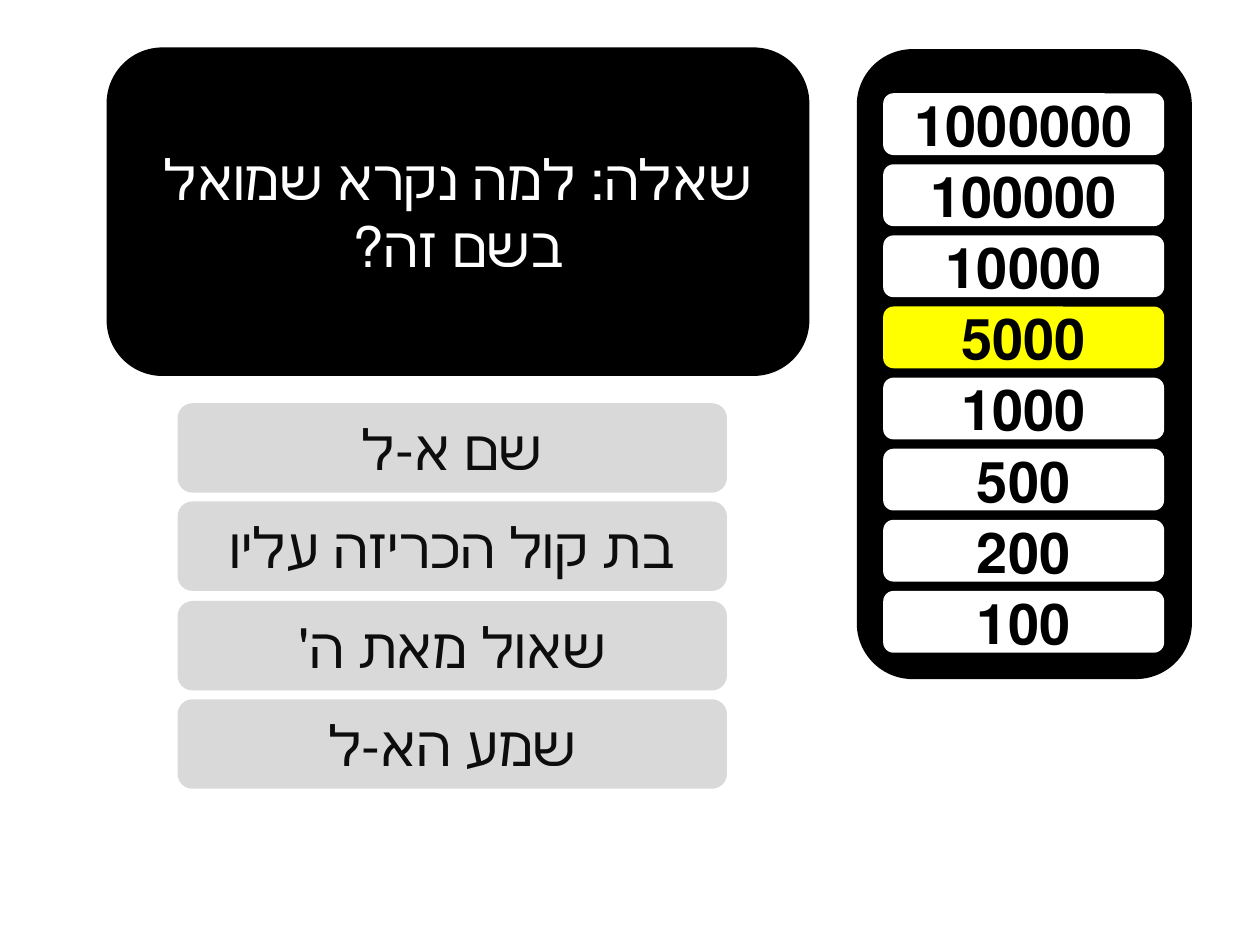
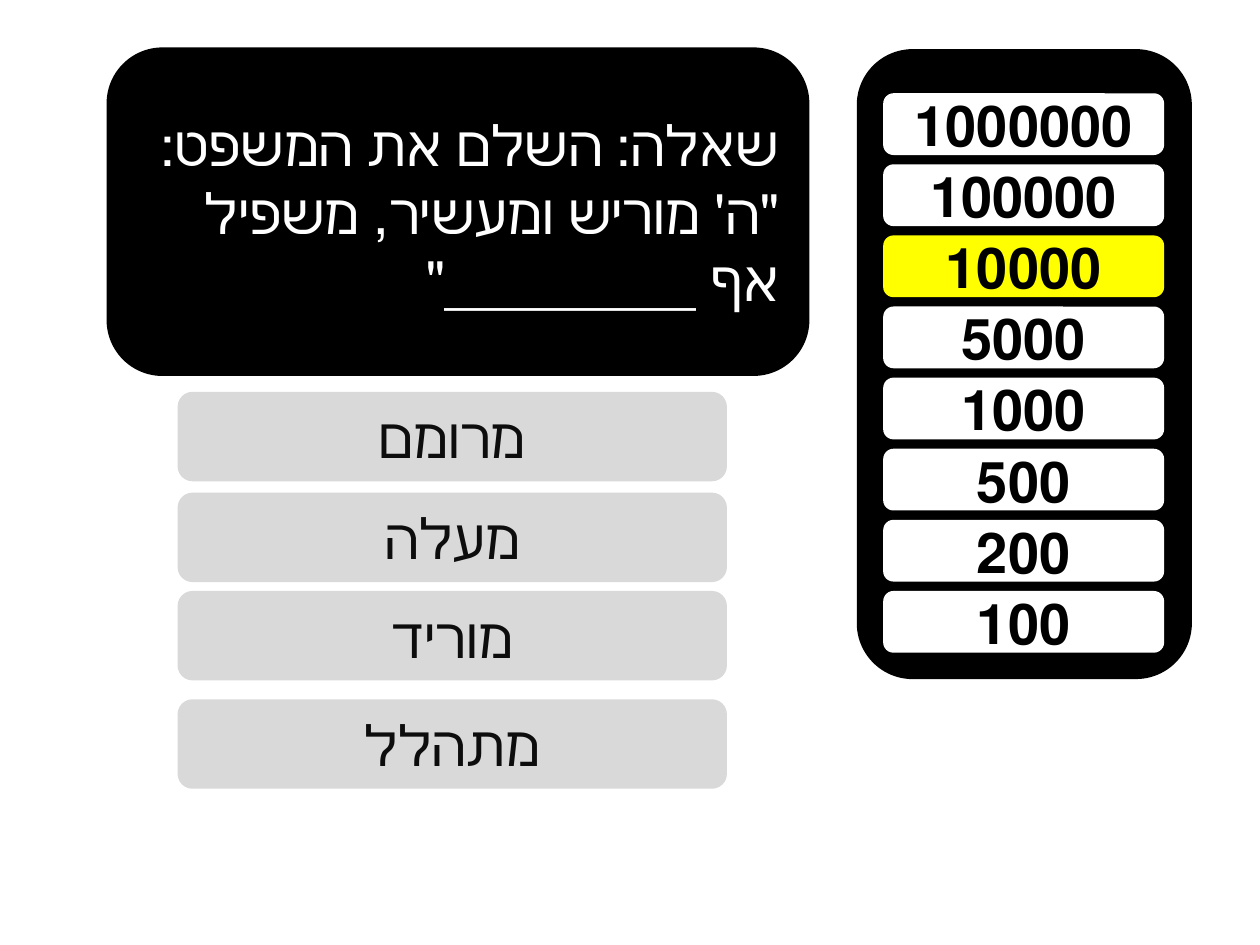
from pptx import Presentation
from pptx.dml.color import RGBColor
from pptx.enum.shapes import MSO_SHAPE
from pptx.enum.text import MSO_ANCHOR, PP_ALIGN
from pptx.util import Inches, Pt

ROUNDED = MSO_SHAPE.ROUNDED_RECTANGLE
MIDDLE = MSO_ANCHOR.MIDDLE
CENTER, RIGHT = PP_ALIGN.CENTER, PP_ALIGN.RIGHT

BLACK = RGBColor(0x00, 0x00, 0x00)
WHITE = RGBColor(0xFF, 0xFF, 0xFF)
YELLOW = RGBColor(0xFF, 0xFF, 0x00)
GREY = RGBColor(0xD9, 0xD9, 0xD9)
INK = RGBColor(0x0D, 0x0D, 0x0D)

PRIZES = ["1000000", "100000", "10000", "5000", "1000", "500", "200", "100"]
PRIZE_TOP, PRIZE_LAST_TOP = 0.74, 4.69
PRIZE_STEP = (PRIZE_LAST_TOP - PRIZE_TOP) / (len(PRIZES) - 1)

# Each question: wording, alignment, prize played for, answers with their tops
QUESTIONS = [
    {
        "question": "שאלה: למה נקרא שמואל בשם זה?",
        "align": CENTER,
        "prize": "5000",
        "answers": [("שם א-ל", 3.2), ("בת קול הכריזה עליו", 3.98),
                    ("שאול מאת ה'", 4.77), ("שמע הא-ל", 5.55)],
    },
    {
        "question": "שאלה: השלם את המשפט: \"ה' מוריש ומעשיר, משפיל אף _________\"",
        "align": RIGHT,
        "prize": "10000",
        "answers": [("מרומם", 3.11), ("מעלה", 3.91),
                    ("מוריד", 4.69), ("מתהלל", 5.55)],
    },
]


class QuizDeck:
    font_format = {"name": "Calibri", "size": Pt(32)}

    def __init__(self):
        self.presentation = Presentation()
        self.presentation.slide_width = Inches(10)
        self.presentation.slide_height = Inches(7.5)
        self.slide = None

    def add_slide(self):
        self.slide = self.presentation.slides.add_slide(
            self.presentation.slide_layouts[6])

    def box(self, left, top, width, height, fill):
        shape = self.slide.shapes.add_shape(
            ROUNDED, Inches(left), Inches(top), Inches(width), Inches(height))
        shape.shadow.inherit = False
        shape.fill.solid()
        shape.fill.fore_color.rgb = fill
        shape.line.fill.background()
        return shape

    def label(self, shape, text, color, bold=False, align=CENTER):
        frame = shape.text_frame
        frame.word_wrap = True
        frame.vertical_anchor = MIDDLE
        paragraph = frame.paragraphs[0]
        paragraph.alignment = align
        # Hebrew reads from right to left
        paragraph._p.get_or_add_pPr().set("rtl", "1")
        run = paragraph.add_run()
        run.text = text
        for name, value in {**self.font_format, "bold": bold}.items():
            setattr(run.font, name, value)
        run.font.color.rgb = color

    def prize_ladder(self, current):
        self.box(6.8, 0.39, 2.66, 5, BLACK)
        for row, prize in enumerate(PRIZES):
            fill = YELLOW if prize == current else WHITE
            rung = self.box(7.01, PRIZE_TOP + row * PRIZE_STEP, 2.23, 0.49, fill)
            self.label(rung, prize, BLACK, bold=True)

    def question(self, text, align):
        panel = self.box(0.86, 0.39, 5.55, 2.58, BLACK)
        panel.line.color.rgb = BLACK
        panel.line.width = Pt(2)
        self.label(panel, text, WHITE, align=align)

    def answer(self, text, top):
        self.label(self.box(1.41, top, 4.36, 0.71, GREY), text, INK)


def main():
    deck = QuizDeck()
    for item in QUESTIONS:
        deck.add_slide()
        deck.prize_ladder(item["prize"])
        deck.question(item["question"], item["align"])
        for text, top in item["answers"]:
            deck.answer(text, top)
    deck.presentation.save("out.pptx")


if __name__ == "__main__":
    main()
